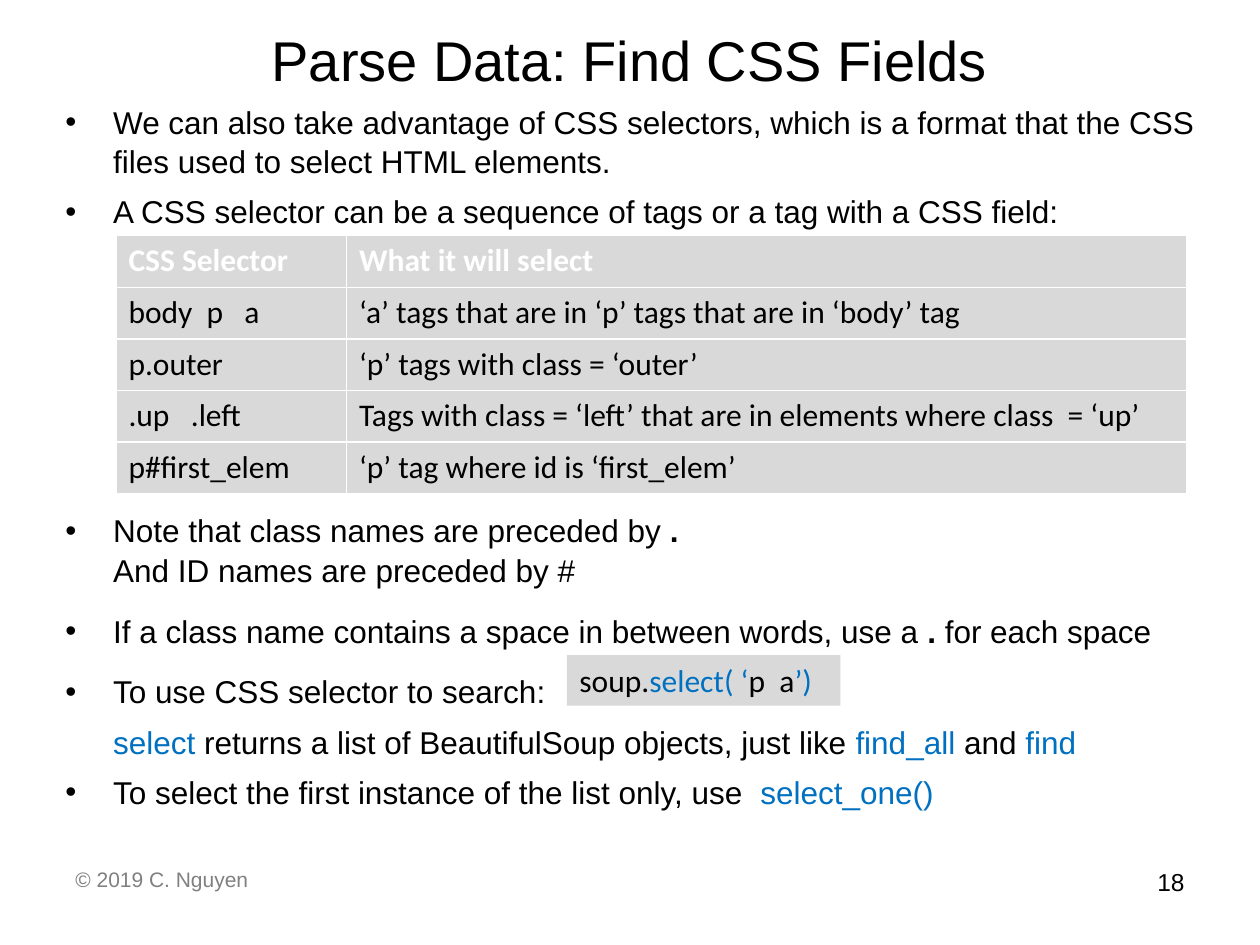
"""Builds the slide on finding data with CSS selectors."""
from dataclasses import dataclass

from lxml.etree import SubElement
from pptx import Presentation
from pptx.dml.color import RGBColor
from pptx.enum.shapes import MSO_SHAPE
from pptx.enum.text import MSO_ANCHOR, PP_ALIGN
from pptx.oxml.ns import qn
from pptx.util import Inches, Pt


@dataclass(frozen=True)
class Theme:
    text: str = "000000"
    code: str = "0070C0"
    muted: str = "808080"
    header: str = "FFFFFF"
    panel: str = "D9D9D9"
    sans: str = "Arial"
    mono: str = "Calibri"
    title_size: int = 32
    body_size: int = 18
    number_size: int = 14
    credit_size: int = 12


class SlideBuilder:
    def __init__(self, slide, theme):
        self.slide = slide
        self.theme = theme

    def add_words(self, paragraph, words, size=None, font=None, color=None, bold=False):
        run = paragraph.add_run()
        run.text = words
        run.font.size = Pt(size or self.theme.body_size)
        run.font.name = font or self.theme.sans
        run.font.bold = bold
        run.font.color.rgb = RGBColor.from_string(color or self.theme.text)

    def add_pieces(self, paragraph, pieces, font=None):
        styles = {"": {}, "code": {"color": self.theme.code}, "bold": {"bold": True}}
        for words, style in pieces:
            if style == "break":
                paragraph.add_line_break()
            else:
                self.add_words(paragraph, words, font=font, **styles[style])

    def frame(self, left, top, width, height, anchor=MSO_ANCHOR.TOP):
        box = self.slide.shapes.add_textbox(
            Inches(left), Inches(top), Inches(width), Inches(height))
        box.text_frame.word_wrap = True
        box.text_frame.vertical_anchor = anchor
        return box.text_frame

    def label(self, place, words, size, color=None, align=PP_ALIGN.LEFT,
              anchor=MSO_ANCHOR.TOP):
        line = self.frame(*place, anchor=anchor).paragraphs[0]
        line.alignment = align
        self.add_words(line, words, size, color=color)

    def bullets(self, place, points):
        body = self.frame(*place)
        for index, (space, bulleted, pieces) in enumerate(points):
            point = body.add_paragraph() if index else body.paragraphs[0]
            point.space_before = Pt(space)
            point.line_spacing = 1.05
            properties = point._p.get_or_add_pPr()
            properties.set("marL", str(Inches(0.38)))
            if bulleted:
                properties.set("indent", str(Inches(-0.38)))
                SubElement(properties, qn("a:buFont"), typeface=self.theme.sans)
                SubElement(properties, qn("a:buChar"), char="•")
            self.add_pieces(point, pieces)

    def table(self, left, top, widths, row_height, rows):
        grid = self.slide.shapes.add_table(
            len(rows), len(widths), Inches(left), Inches(top),
            Inches(sum(widths)), Inches(row_height * len(rows))).table
        for column, width in zip(grid.columns, widths):
            column.width = Inches(width)
        for r, row in enumerate(rows):
            for c, words in enumerate(row):
                cell = grid.cell(r, c)
                cell.fill.solid()
                cell.fill.fore_color.rgb = RGBColor.from_string(self.theme.panel)
                color = self.theme.text if r else self.theme.header
                self.add_words(cell.text_frame.paragraphs[0], words,
                               font=self.theme.mono, color=color, bold=r == 0)

    def code_panel(self, left, top, width, height, pieces):
        panel = self.slide.shapes.add_shape(
            MSO_SHAPE.RECTANGLE, Inches(left), Inches(top), Inches(width), Inches(height))
        panel.shadow.inherit = False
        panel.fill.solid()
        panel.fill.fore_color.rgb = RGBColor.from_string(self.theme.panel)
        panel.line.fill.background()
        panel.text_frame.word_wrap = True
        line = panel.text_frame.paragraphs[0]
        line.alignment = PP_ALIGN.LEFT
        self.add_pieces(line, pieces, self.theme.mono)


SELECTORS = [
    ("CSS Selector", "What it will select"),
    ("body  p   a", "‘a’ tags that are in ‘p’ tags that are in ‘body’ tag"),
    ("p.outer", "‘p’ tags with class = ‘outer’"),
    (".up   .left", "Tags with class = ‘left’ that are in elements where class  = ‘up’"),
    ("p#first_elem", "‘p’ tag where id is ‘first_elem’"),
]

TABLE_GAP = 159.5
POINTS = [
    (0, True, [("We can also take advantage of CSS selectors, which is a format that "
                "the CSS files used to select HTML elements.", "")]),
    (6, True, [("A CSS selector can be a sequence of tags or a tag with a CSS field:", "")]),
    (TABLE_GAP, True, [("Note that class names are preceded by ", ""), (".", "bold"),
                       ("", "break"), ("And ID names are preceded by #", "")]),
    (12, True, [("If a class name contains a space in between words, use a ", ""),
                (".", "bold"), (" for each space", "")]),
    (12, True, [("To use CSS selector to search:", "")]),
    (6, False, [("select", "code"),
                (" returns a list of BeautifulSoup objects, just like ", ""),
                ("find_all ", "code"), ("and", ""), (" find", "code")]),
    (6, True, [("To select the first instance of the list only, use  ", ""),
               ("select_one()", "code")]),
]

SEARCH_CALL = [("soup.", ""), ("select( ‘", "code"), ("p  a", ""), ("’)", "code")]


def main():
    deck = Presentation()
    deck.slide_width, deck.slide_height = Inches(10), Inches(7.5)
    theme = Theme()
    page = SlideBuilder(deck.slides.add_slide(deck.slide_layouts[6]), theme)
    page.label((0.5, 0.08, 9, 0.78), "Parse Data: Find CSS Fields", theme.title_size,
               align=PP_ALIGN.CENTER, anchor=MSO_ANCHOR.MIDDLE)
    page.bullets((0.42, 0.75, 9.17, 5.92), POINTS)
    page.label((7.17, 6.83, 2.33, 0.52), "18", theme.number_size, align=PP_ALIGN.RIGHT)
    page.table(0.92, 1.87, (1.83, 6.67), 0.41, SELECTORS)
    page.code_panel(4.5, 5.2, 2.17, 0.4, SEARCH_CALL)
    page.label((0.5, 6.83, 2.33, 0.52), "© 2019 C. Nguyen", theme.credit_size, theme.muted)
    deck.save("out.pptx")


if __name__ == "__main__":
    main()
